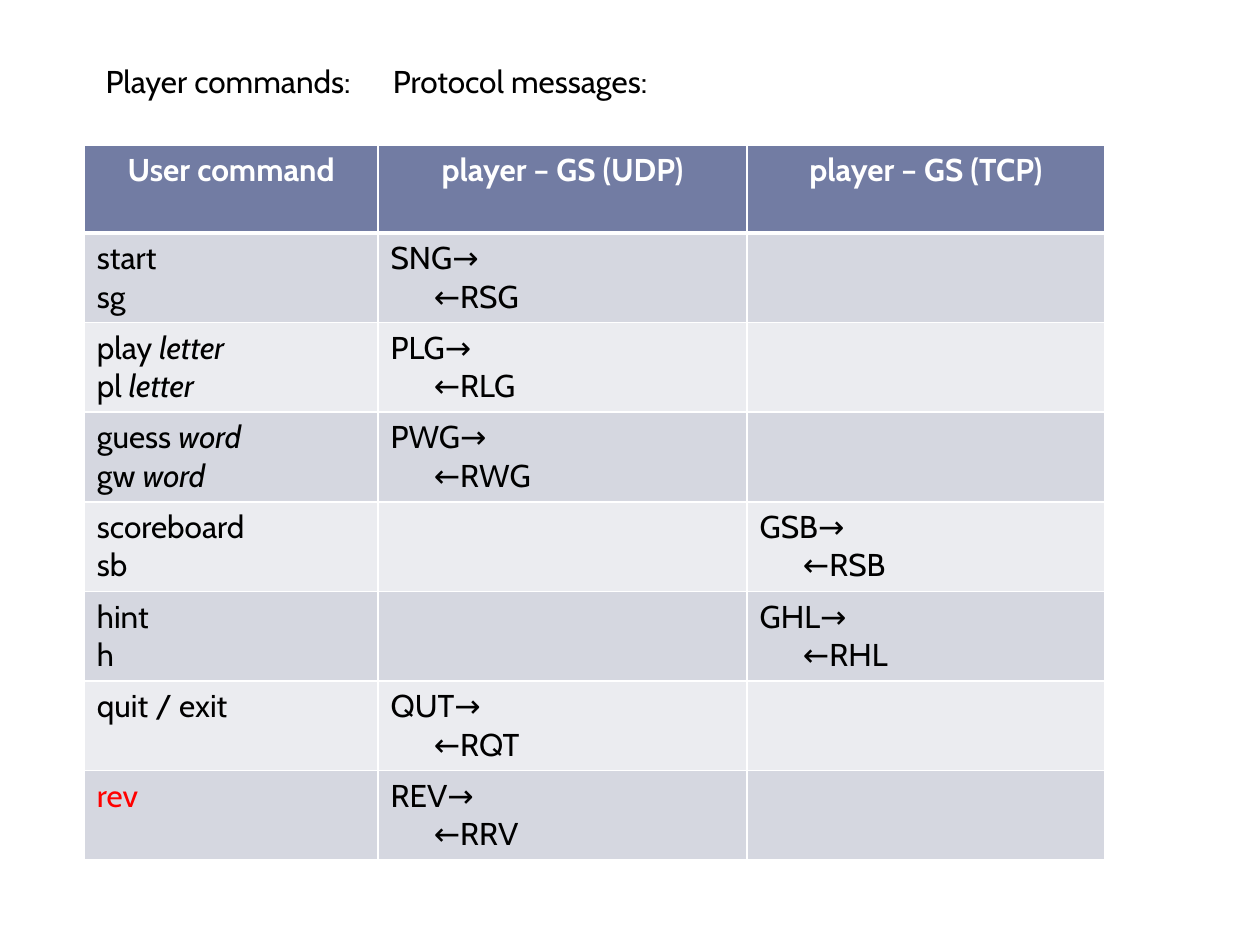
from lxml import etree
from pptx import Presentation
from pptx.dml.color import RGBColor
from pptx.enum.text import MSO_AUTO_SIZE, PP_ALIGN
from pptx.oxml.ns import qn
from pptx.util import Cm, Pt

CENTER = PP_ALIGN.CENTER
FIT_SHAPE = MSO_AUTO_SIZE.SHAPE_TO_FIT_TEXT
FONT = "Cabin"
WHITE, BLACK, RED = "FFFFFF", "000000", "FF0000"
HEADER_FILL = "727CA3"
BAND_FILLS = ("D5D7E0", "EBECF0")
COLUMN_WIDTHS = (5.92, 7.44, 7.21)
ROW_HEIGHT = 1.78
HEADERS = ("User command", "player – GS (UDP)", "player – GS (TCP)")
UDP, TCP = 1, 2
COMMANDS = (
    ((("start", ""), ("sg", "")), UDP, "SNG", "RSG", BLACK),
    ((("play ", "letter"), ("pl ", "letter")), UDP, "PLG", "RLG", BLACK),
    ((("guess ", "word"), ("gw ", "word")), UDP, "PWG", "RWG", BLACK),
    ((("scoreboard", ""), ("sb", "")), TCP, "GSB", "RSB", BLACK),
    ((("hint", ""), ("h", "")), TCP, "GHL", "RHL", BLACK),
    ((("quit / exit", ""),), UDP, "QUT", "RQT", BLACK),
    ((("rev", ""),), UDP, "REV", "RRV", RED),
)


def rgb(value):
    """Return the colour for a hex string."""
    return RGBColor.from_string(value)


def add_run(paragraph, text, color=BLACK, bold=False, italic=False):
    """Append one formatted run to a paragraph."""
    run = paragraph.add_run()
    run.text = text
    font = run.font
    font.name, font.size = FONT, Pt(18)
    font.bold, font.italic = bold, italic
    font.color.rgb = rgb(color)


def add_heading(slide):
    """Add the two labels, the second one at a tab stop."""
    box = slide.shapes.add_textbox(Cm(1.88), Cm(1.12), Cm(20.6), Cm(1.02))
    frame = box.text_frame
    frame.word_wrap = True
    frame.auto_size = FIT_SHAPE
    paragraph = frame.paragraphs[0]
    add_run(paragraph, "Player commands:\tProtocol messages:")
    properties = paragraph._p.get_or_add_pPr()
    tabs = etree.SubElement(properties, qn("a:tabLst"))
    etree.SubElement(tabs, qn("a:tab"), pos=str(Cm(5.79)), algn="l")


def style_cell(cell, fill, top_width=1, bottom_width=1):
    """Give a cell white borders and a solid fill."""
    properties = cell._tc.get_or_add_tcPr()
    widths = {"lnL": 1, "lnR": 1, "lnT": top_width, "lnB": bottom_width}
    for side, width in widths.items():
        line = etree.SubElement(properties, qn(f"a:{side}"), w=str(Pt(width)))
        solid = etree.SubElement(line, qn("a:solidFill"))
        etree.SubElement(solid, qn("a:srgbClr"), val=WHITE)
    cell.fill.solid()
    cell.fill.fore_color.rgb = rgb(fill)


def write_command(cell, lines, color):
    """Write the command forms with their arguments in italics."""
    paragraph = cell.text_frame.paragraphs[0]
    for index, (command, argument) in enumerate(lines):
        if index:
            paragraph.add_line_break()
        add_run(paragraph, command, color)
        if argument:
            add_run(paragraph, argument, color, italic=True)


def write_messages(cell, request, reply):
    """Write a request and its indented reply."""
    frame = cell.text_frame
    add_run(frame.paragraphs[0], f"{request}→")
    paragraph = frame.add_paragraph()
    paragraph._p.get_or_add_pPr().set("marL", str(Cm(0.87)))
    add_run(paragraph, f"←{reply}")


def add_command_table(slide):
    """Add the table of commands and protocol messages."""
    row_count = len(COMMANDS) + 1
    table = slide.shapes.add_table(
        row_count, len(HEADERS), Cm(1.7), Cm(2.92),
        Cm(sum(COLUMN_WIDTHS)), Cm(ROW_HEIGHT * row_count)).table
    for column, width in zip(table.columns, COLUMN_WIDTHS):
        column.width = Cm(width)
    for row in table.rows:
        row.height = Cm(ROW_HEIGHT)
    for index, header in enumerate(HEADERS):
        cell = table.cell(0, index)
        style_cell(cell, HEADER_FILL, bottom_width=3)
        paragraph = cell.text_frame.paragraphs[0]
        paragraph.alignment = CENTER
        add_run(paragraph, header, WHITE, bold=True)
    for row, (lines, channel, request, reply, color) in enumerate(COMMANDS, 1):
        for index in range(len(HEADERS)):
            style_cell(table.cell(row, index), BAND_FILLS[(row - 1) % 2],
                       top_width=3 if row == 1 else 1)
        write_command(table.cell(row, 0), lines, color)
        write_messages(table.cell(row, channel), request, reply)


def main():
    """Build and save the slide."""
    presentation = Presentation()
    presentation.slide_width, presentation.slide_height = Cm(25.4), Cm(19.05)
    slide = presentation.slides.add_slide(presentation.slide_layouts[6])
    add_command_table(slide)
    add_heading(slide)
    presentation.save("out.pptx")


if __name__ == "__main__":
    main()
